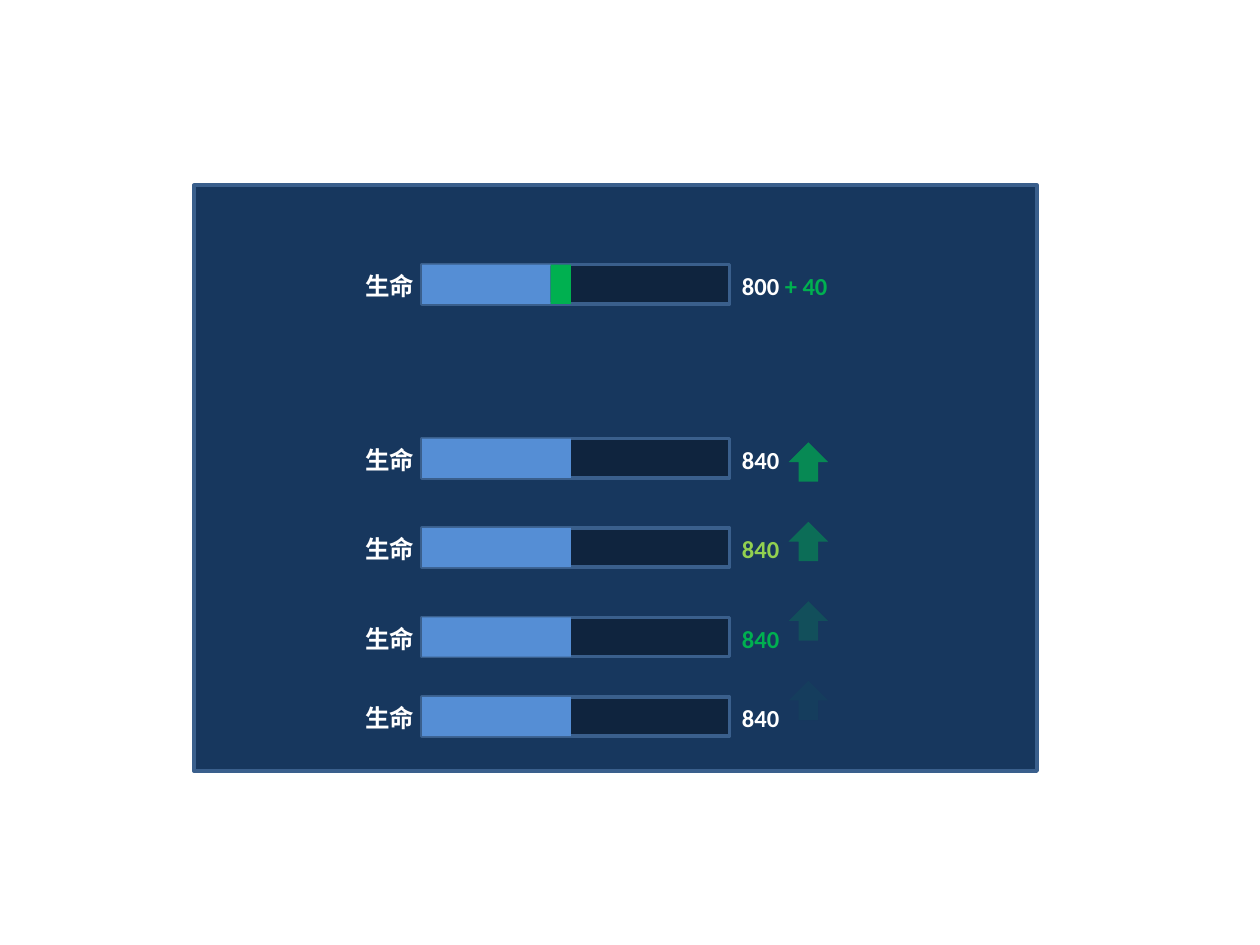
from lxml import etree
from pptx import Presentation
from pptx.dml.color import RGBColor
from pptx.enum.shapes import MSO_SHAPE
from pptx.enum.text import MSO_AUTO_SIZE
from pptx.oxml.ns import qn
from pptx.util import Pt

RECTANGLE = MSO_SHAPE.RECTANGLE
UP_ARROW = MSO_SHAPE.UP_ARROW
GROW_TO_TEXT = MSO_AUTO_SIZE.SHAPE_TO_FIT_TEXT

WHITE, GREEN, LIME = "FFFFFF", "00B050", "92D050"
PANEL, TRACK, BORDER, HEALTH = "17375E", "0F243E", "3A5F8C", "558ED5"

LABEL_LEFT, BAR_LEFT, VALUE_LEFT, ARROW_LEFT = 201.6, 241.2, 416.9, 450.7
BAR_WIDTH, BAR_HEIGHT = 175.7, 22.5
BASE_WIDTH, BONUS_WIDTH = 73.5, 11.5
ARROW_TOP, ARROW_STEP, ARROW_SIZE = 252.8, 45.4, 22.5

# Top of the bar, colour of the value, opacity of the arrow in percent
FADE_STEPS = [
    (250.6, WHITE, 68),
    (301.7, LIME, 45),
    (352.8, GREEN, 20),
    (398.2, WHITE, 5),
]


def color(hex_string):
    return RGBColor.from_string(hex_string)


def add_block(slide, kind, left, top, width, height, fill, border=None):
    shape = slide.shapes.add_shape(kind, Pt(left), Pt(top), Pt(width), Pt(height))
    shape.shadow.inherit = False
    shape.fill.solid()
    shape.fill.fore_color.rgb = color(fill)
    if border:
        shape.line.color.rgb = color(border)
        shape.line.width = Pt(2)
    else:
        shape.line.fill.background()
    return shape


def add_text(slide, left, top, runs):
    """Add one bold line made of (text, colour) runs."""
    box = slide.shapes.add_textbox(Pt(left), Pt(top), Pt(90.7), Pt(24.3))
    box.text_frame.word_wrap = True
    box.text_frame.auto_size = GROW_TO_TEXT
    paragraph = box.text_frame.paragraphs[0]
    paragraph.font.name = "Calibri"
    paragraph.font.size = Pt(14)
    paragraph.font.bold = True
    for text, run_color in runs:
        run = paragraph.add_run()
        run.text = text
        run.font.color.rgb = color(run_color)


def add_health_bar(slide, top, value_runs, segments):
    """Add label, track, value and the (width, colour) segments of one bar."""
    add_block(slide, RECTANGLE, BAR_LEFT, top, BAR_WIDTH, BAR_HEIGHT, TRACK, BORDER)
    add_text(slide, LABEL_LEFT, top, [("生命", WHITE)])
    add_text(slide, VALUE_LEFT, top, value_runs)
    left = BAR_LEFT
    for width, fill in segments:
        add_block(slide, RECTANGLE, left, top, width, BAR_HEIGHT, fill)
        left += width


def add_arrow(slide, top, opacity):
    arrow = add_block(slide, UP_ARROW, ARROW_LEFT, top, ARROW_SIZE, ARROW_SIZE, GREEN)
    fill_color = arrow.fill._xPr.find(qn("a:solidFill")).find(qn("a:srgbClr"))
    etree.SubElement(fill_color, qn("a:alpha"), val=str(opacity * 1000))


def main():
    presentation = Presentation()
    presentation.slide_width, presentation.slide_height = Pt(720), Pt(540)
    slide = presentation.slides.add_slide(presentation.slide_layouts[6])

    add_block(slide, RECTANGLE, 110.9, 105.8, 481.7, 334.8, PANEL, BORDER)
    add_health_bar(slide, 151.2, [("800 ", WHITE), ("+ 40", GREEN)],
                   [(BASE_WIDTH, HEALTH), (BONUS_WIDTH, GREEN)])
    for index, (top, value_color, opacity) in enumerate(FADE_STEPS):
        add_arrow(slide, ARROW_TOP + index * ARROW_STEP, opacity)
        add_health_bar(slide, top, [("840", value_color)],
                       [(BASE_WIDTH + BONUS_WIDTH, HEALTH)])

    presentation.save("out.pptx")


if __name__ == "__main__":
    main()
